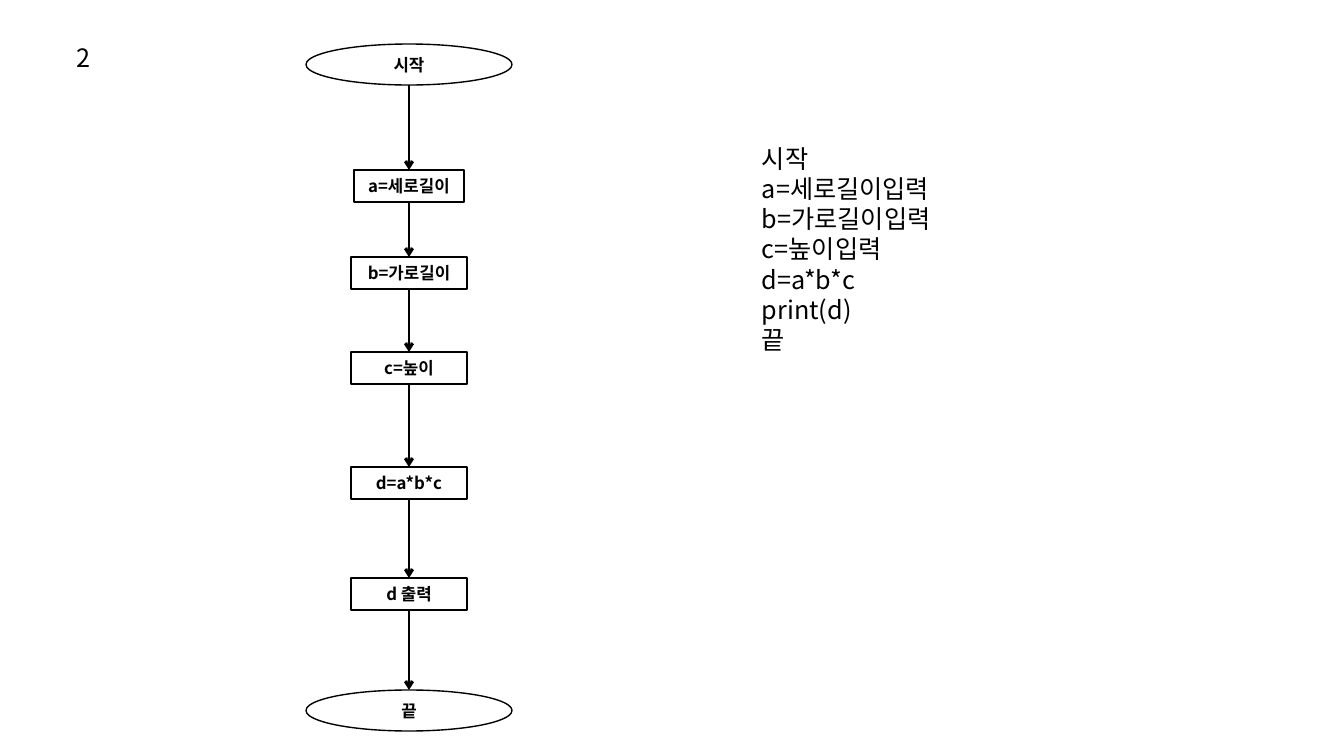
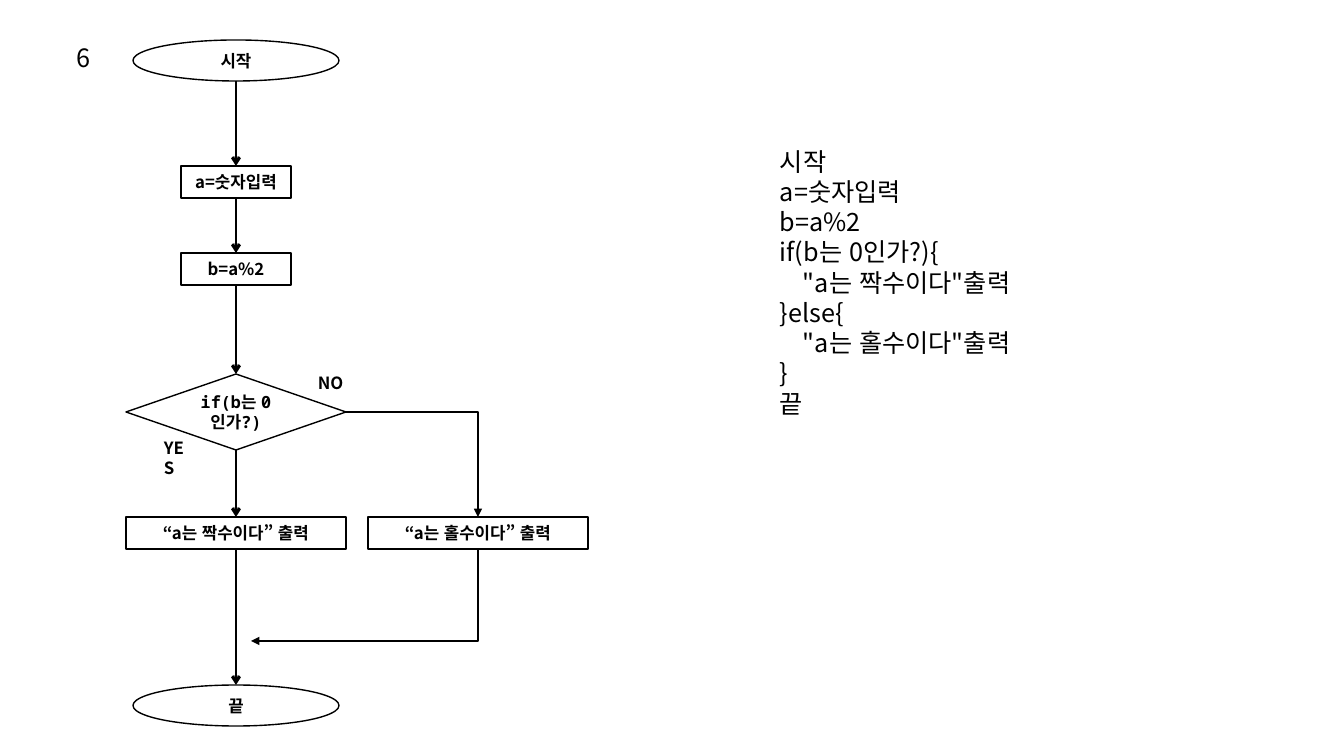
from itertools import pairwise

from lxml.etree import SubElement
from pptx import Presentation
from pptx.dml.color import RGBColor
from pptx.enum.lang import MSO_LANGUAGE_ID as Language
from pptx.enum.shapes import MSO_CONNECTOR as Connector, MSO_SHAPE as Shape
from pptx.enum.text import MSO_ANCHOR as Anchor, MSO_AUTO_SIZE as AutoSize, PP_ALIGN as Align
from pptx.oxml.ns import qn
from pptx.util import Emu, Pt

PAGE_WIDTH, PAGE_HEIGHT = 1344, 756
SCALE = 12192000 / PAGE_WIDTH


def px(length):
    """Turn a length in px into EMU."""
    return Emu(round(length * SCALE))


def colour(code):
    """Turn a hex string into a colour."""
    return RGBColor.from_string(code)


class Flowchart:
    """Hold the style and the current slide, and draw flowchart elements."""

    FONT, MONO = "Noto Sans CJK KR", "Noto Sans Mono"
    INK, PAPER = "000000", "FFFFFF"
    BODY, LABEL = 18, 12
    OUTLINE, FLOW = 1, 2
    INDENT = 23
    OVAL, STEP_HEIGHT = (206, 41), 32

    def __init__(self):
        """Start an empty deck."""
        self.deck = Presentation()
        self.deck.slide_width, self.deck.slide_height = px(PAGE_WIDTH), px(PAGE_HEIGHT)
        self.page = None

    def new_page(self, number):
        """Add a blank slide with its exercise number."""
        self.page = self.deck.slides.add_slide(self.deck.slide_layouts[6])
        fill = self.page.background.fill
        fill.solid()
        fill.fore_color.rgb = colour(self.PAPER)
        self.text(67, 37, 43, 40, [number])

    def add_span(self, para, words, size, bold=False, font=FONT):
        """Add one styled run to a paragraph."""
        span = para.add_run()
        span.text = words
        span.font.size, span.font.bold, span.font.name = Pt(size), bold, font
        span.font.color.rgb = colour(self.INK)
        span.font.language_id = Language.KOREAN
        SubElement(span.font._element, qn("a:ea"), typeface=self.FONT)

    def text(self, left, top, width, height, lines, size=BODY, bold=False):
        """Add a text box, indenting each line given as a (level, words) pair."""
        box = self.page.shapes.add_textbox(px(left), px(top), px(width), px(height))
        frame = box.text_frame
        frame.word_wrap, frame.auto_size = True, AutoSize.SHAPE_TO_FIT_TEXT
        for index, line in enumerate(lines):
            level, words = line if isinstance(line, tuple) else (0, line)
            para = frame.add_paragraph() if index else frame.paragraphs[0]
            if level:
                para._p.get_or_add_pPr().set("marL", str(px(level * self.INDENT)))
            self.add_span(para, words, size, bold)

    def label(self, left, top, words):
        """Add the answer beside a branch."""
        self.text(left, top, 49, 30, [words], self.LABEL, bold=True)

    def node(self, kind, centre, top, width, height, words, font=FONT):
        """Add an outlined shape and return its centre, top and bottom."""
        box = self.page.shapes.add_shape(
            kind, px(centre - width / 2), px(top), px(width), px(height))
        box.shadow.inherit = False
        box.fill.background()
        box.line.color.rgb, box.line.width = colour(self.INK), Pt(self.OUTLINE)
        frame = box.text_frame
        frame.word_wrap, frame.vertical_anchor = True, Anchor.MIDDLE
        para = frame.paragraphs[0]
        para.alignment = Align.CENTER
        self.add_span(para, words, self.LABEL, True, font)
        return centre, top, top + height

    def terminal(self, centre, top, words):
        """Add a start or end oval."""
        return self.node(Shape.OVAL, centre, top, *self.OVAL, words)

    def step(self, centre, top, width, words):
        """Add a process box."""
        return self.node(Shape.FLOWCHART_PROCESS, centre, top, width, self.STEP_HEIGHT, words)

    def decision(self, centre, top, width, height, words):
        """Add a decision diamond."""
        return self.node(
            Shape.FLOWCHART_DECISION, centre, top, width, height, words, self.MONO)

    def connector(self, kind, start, end, head):
        """Add a connector with an arrowhead at its end and return its properties."""
        line = self.page.shapes.add_connector(kind, *map(px, (*start, *end)))
        line.line.color.rgb, line.line.width = colour(self.INK), Pt(self.FLOW)
        properties = line.element.spPr
        SubElement(properties.find(qn("a:ln")), qn("a:tailEnd"), type=head)
        SubElement(properties, qn("a:effectLst"))
        return properties

    def flow(self, nodes):
        """Join a column of nodes with arrows."""
        for (centre, _, bottom), (_, top, _) in pairwise(nodes):
            self.connector(Connector.STRAIGHT, (centre, bottom), (centre, top), "arrow")

    def elbow(self, start, end, down_first=False):
        """Add an arrow with one right-angled turn, going right or down first."""
        (x1, y1), (x2, y2) = start, end
        if down_first:
            middle_x, middle_y = (x1 + x2) / 2, (y1 + y2) / 2
            half_w, half_h = abs(y2 - y1) / 2, abs(x2 - x1) / 2
            start = middle_x - half_w, middle_y - half_h
            end = middle_x + half_w, middle_y + half_h
        properties = self.connector(Connector.ELBOW, start, end, "triangle")
        properties.find(qn("a:prstGeom")).set("prst", "bentConnector2")
        if down_first:
            properties.find(qn("a:xfrm")).set("rot", str(90 * 60000))


def volume_page(chart):
    """Draw the box volume exercise."""
    chart.new_page("2")
    chart.text(752, 138, 394, 224, [
        "시작", "a=세로길이입력", "b=가로길이입력", "c=높이입력", "d=a*b*c", "print(d)", "끝"])
    centre = 409
    steps = [
        (170, 110, "a=세로길이"), (257, 116, "b=가로길이"), (352, 116, "c=높이"),
        (467, 116, "d=a*b*c"), (578, 116, "d 출력")]
    chart.flow([
        chart.terminal(centre, 44, "시작"),
        *(chart.step(centre, *step) for step in steps),
        chart.terminal(centre, 690, "끝")])


def parity_page(chart):
    """Draw the even or odd exercise."""
    chart.new_page("6")
    chart.text(770, 141, 394, 285, [
        "시작", "a=숫자입력", "b=a%2", "if(b는 0인가?){", (1, '"a는 짝수이다"출력'),
        "}else{", (1, '"a는 홀수이다"출력'), "}", "끝"])
    centre, side, wide, output_top = 236, 478, 220, 517
    test_top, test_height = 374, 76
    chart.flow([
        chart.terminal(centre, 40, "시작"),
        chart.step(centre, 166, 110, "a=숫자입력"),
        chart.step(centre, 253, 110, "b=a%2"),
        chart.decision(centre, test_top, wide, test_height, "if(b는 0인가?)"),
        chart.step(centre, output_top, wide, "“a는 짝수이다” 출력"),
        chart.terminal(centre, 685, "끝")])
    chart.label(154, 433, "YES")
    chart.label(308, 368, "NO")
    _, _, odd_bottom = chart.step(side, output_top, wide, "“a는 홀수이다” 출력")
    chart.elbow((centre + wide / 2, test_top + test_height / 2), (side, output_top))
    chart.elbow((side, odd_bottom), (251, 641), down_first=True)


def main():
    """Build both pages and save the deck."""
    chart = Flowchart()
    volume_page(chart)
    parity_page(chart)
    chart.deck.save("out.pptx")


if __name__ == "__main__":
    main()
